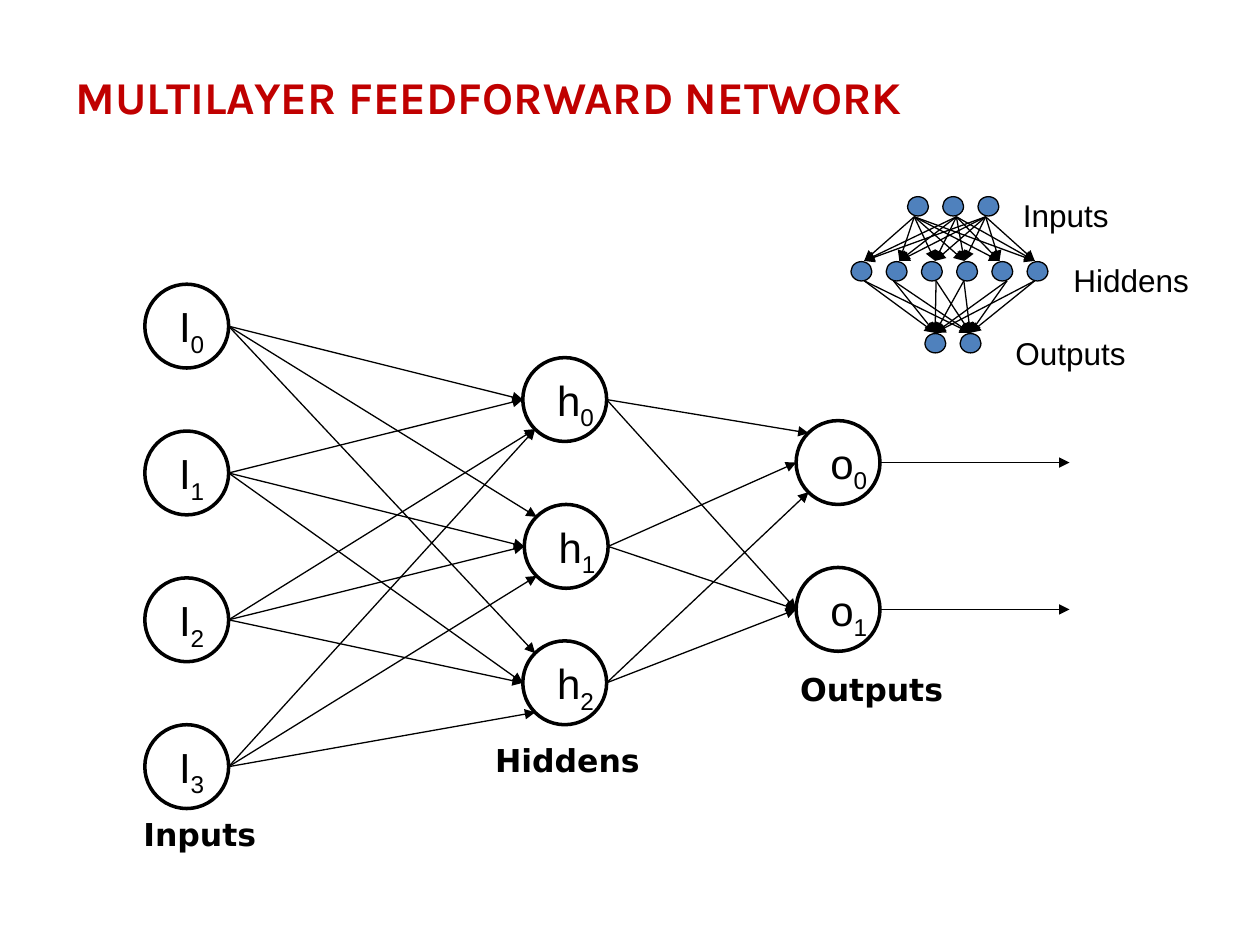
"""Build a slide showing a multilayer feedforward network with a small overview."""
from lxml import etree
from pptx import Presentation
from pptx import util as u
from pptx.dml.color import RGBColor
from pptx.enum import shapes, text
from pptx.oxml.ns import qn

COLORS = {"title": "C00000", "ink": "000000", "node": "4F81BD"}


def add_label(parent, x, y, w, h, runs, size, font="Arial", bold=False, wrap=False):
    tf = parent.add_textbox(u.Cm(x), u.Cm(y), u.Cm(w), u.Cm(h)).text_frame
    tf.word_wrap = wrap
    for words, baseline in runs:
        r = tf.paragraphs[0].add_run()
        r.text = words
        r.font.size, r.font.name, r.font.bold = u.Pt(size), font, bold
        r.font.color.rgb = RGBColor.from_string(COLORS["ink"])
        if baseline:
            r.font._element.set("baseline", str(baseline))


def add_arrow(parent, x1, y1, x2, y2):
    c = parent.add_connector(shapes.MSO_CONNECTOR.STRAIGHT, u.Cm(x1), u.Cm(y1), u.Cm(x2), u.Cm(y2))
    c.line.width = u.Pt(0.75)
    c.line.color.rgb = RGBColor.from_string(COLORS["ink"])
    sp_pr = c._element.spPr
    etree.SubElement(sp_pr.find(qn("a:ln")), qn("a:tailEnd"), type="triangle")
    etree.SubElement(sp_pr, qn("a:effectLst"))


prs = Presentation()
prs.slide_width, prs.slide_height = u.Cm(25.4), u.Cm(19.05)
s = prs.slides.add_slide(prs.slide_layouts[5])

title = s.shapes.title
title.left, title.top, title.width, title.height = u.Cm(1.27), u.Cm(1.27), u.Cm(20.98), u.Cm(1.37)
tf = title.text_frame
tf.vertical_anchor = text.MSO_ANCHOR.TOP
p = tf.paragraphs[0]
p.alignment = text.PP_ALIGN.LEFT
r = p.add_run()
r.text = "MULTILAYER FEEDFORWARD NETWORK"
r.font.size, r.font.name, r.font.bold = u.Pt(26), "Karla", True
r.font.color.rgb = RGBColor.from_string(COLORS["title"])

overview = s.shapes.add_group_shape().shapes
for left, top, count in [(18.31, 3.95, 3), (17.17, 5.26, 6), (18.66, 6.71, 2)]:
    for i in range(count):
        sp = overview.add_shape(shapes.MSO_SHAPE.OVAL, u.Cm(left + 0.71 * i), u.Cm(top), u.Cm(0.39), u.Cm(0.42))
        sp.rotation = 90
        sp.shadow.inherit = False
        sp.fill.solid()
        sp.fill.fore_color.rgb = RGBColor.from_string(COLORS["node"])
        sp.line.color.rgb = RGBColor.from_string(COLORS["ink"])
        sp.line.width = u.Pt(0.75)

hidden_x = [17.42, 18.13, 18.85, 19.44, 20.15, 20.86]
hidden_exit_x = [17.42, 18.01, 18.87, 19.43, 20.3, 20.86]
for starts, y1, ends, y2 in [
    ([18.43, 19.28, 19.87], 4.37, hidden_x, 5.26),
    (hidden_exit_x, 5.66, [18.85, 19.56], 6.71),
]:
    for x1 in starts:
        for x2 in ends:
            add_arrow(overview, x1, y1, x2, y2)

for words, x, y, w in [("Inputs", 20.37, 3.82, 2.35), ("Hiddens", 21.39, 5.13, 2.95), ("Outputs", 20.22, 6.6, 2.85)]:
    add_label(overview, x, y, w, 1.02, [(words, None)], 18)

DIAMETER = 1.69
RADIUS = DIAMETER / 2
layers = {
    "I": [(2.92, 5.73 + 2.96 * i) for i in range(4)],
    "h": [(10.54, 7.21), (10.57, 10.17), (10.54, 12.92)],
    "o": [(16.05, 8.48), (16.05, 11.44)],
}
network = s.shapes.add_group_shape().shapes
for name, nodes in layers.items():
    for i, (x, y) in enumerate(nodes):
        add_label(network, x + 0.44, y + 0.21, 1.1 if name == "I" else 1.35, 1.42, [(name, None), (str(i), -25000)], 24)
        sp = network.add_shape(shapes.MSO_SHAPE.OVAL, u.Cm(x), u.Cm(y), u.Cm(DIAMETER), u.Cm(DIAMETER))
        sp.shadow.inherit = False
        sp.fill.background()
        sp.line.color.rgb = RGBColor.from_string(COLORS["ink"])
        sp.line.width = u.Pt(2)

entry_points = {"upper": (0.25, 0.25), "side": (0, RADIUS), "lower": (0.25, DIAMETER - 0.25)}
entries = {
    ("I", "h"): ["side side lower lower", "upper side side lower", "upper side side lower"],
    ("h", "o"): ["upper side lower", "side side side"],
}
for (source, target), rows in entries.items():
    for (x2, y2), row in zip(layers[target], rows):
        for (x1, y1), entry in zip(layers[source], row.split()):
            dx, dy = entry_points[entry]
            add_arrow(network, x1 + DIAMETER, y1 + RADIUS, x2 + dx, y2 + dy)
for x, y in layers["o"]:
    add_arrow(network, x + DIAMETER, y + RADIUS, 21.56, y + RADIUS)

for words, x, y in [("Inputs", 2.64, 16.31), ("Hiddens", 9.73, 14.81), ("Outputs", 15.88, 13.39)]:
    add_label(s.shapes, x, y, 4.24, 1.02, [(words, None)], 18, "DejaVu Sans", True, True)

prs.save("out.pptx")
